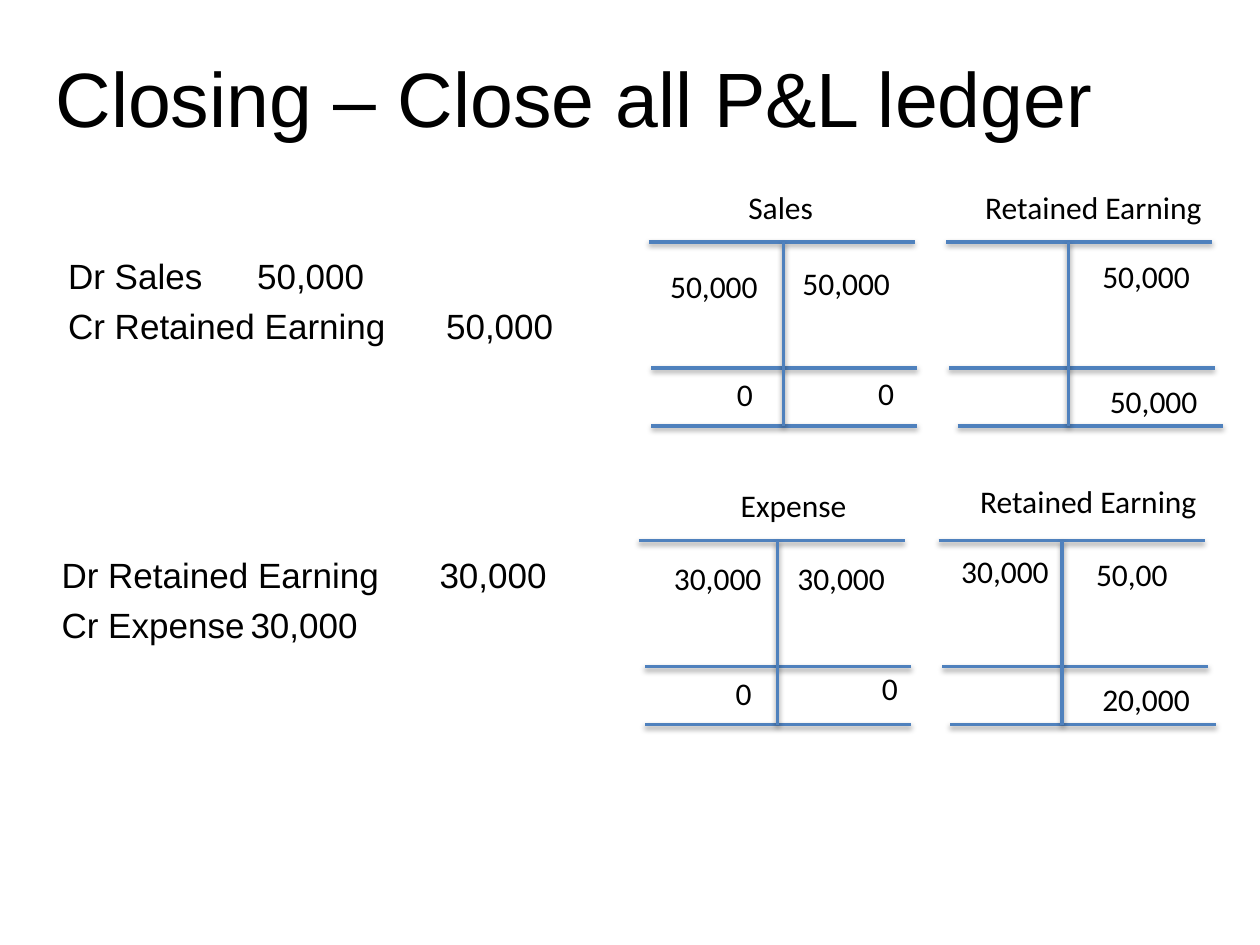
from dataclasses import dataclass

import pptx
import pptx.dml.color
import pptx.enum.shapes
import pptx.enum.text
import pptx.oxml
import pptx.oxml.ns
import pptx.util
from pptx.util import Inches


@dataclass(frozen=True)
class Theme:
    text: str = "000000"
    rule: str = "4F81BD"
    shadow: str = "000000"
    body_font: str = "Arial"
    ledger_font: str = "Calibri"
    title_size: int = 44
    journal_size: int = 20
    ledger_size: int = 18
    rule_width: int = 2


@dataclass(frozen=True)
class Account:
    """A T account; inner offsets are inches from its top-left corner."""
    left: float
    top: float
    stem: float
    balance_shift: float
    total_shift: float
    heading: tuple  # text, x, y, width
    entries: tuple  # (text, x, y)


THEME = Theme()
RULE_LENGTH, BALANCE_DROP, TOTAL_DROP = 2.11, 1.0, 1.46
DIGIT_WIDTH, COMMA_WIDTH, SIDE_INSETS = 0.127, 0.065, 0.2
LABEL_HEIGHT = 0.4
AMOUNT_TAB = 3.0

TITLE_BOX = (0.34, 0.14, 9, 1.25)
SALES_BOX = (0.44, 1.97, 4.07, 0.91)
EXPENSE_BOX = (0.39, 4.34, 4.07, 0.91)
SALES_JOURNAL = (("Dr Sales", "50,000"), ("Cr Retained Earning", "50,000"))
EXPENSE_JOURNAL = (("Dr Retained Earning", "30,000"), ("Cr Expense", "30,000"))

ACCOUNTS = (
    Account(5.15, 1.92, 1.07, 0.02, 0.02, ("Sales", 0.69, -0.48, 0.72),
            (("50,000", 0.07, 0.15), ("50,000", 1.12, 0.13),
             ("0", 0.6, 1.01), ("0", 1.72, 1.0))),
    Account(7.51, 1.92, 0.97, 0.02, 0.09, ("Retained Earning", 0.21, -0.48, 1.94),
            (("50,000", 1.14, 0.07), ("50,000", 1.2, 1.06))),
    Account(5.07, 4.29, 1.1, 0.05, 0.05, ("Expense", 0.71, -0.48, 1.05),
            (("30,000", 0.18, 0.1), ("30,000", 1.16, 0.1),
             ("0", 0.67, 1.01), ("0", 1.83, 0.97))),
    Account(7.45, 4.29, 0.98, 0.03, 0.09, ("Retained Earning", 0.23, -0.51, 1.94),
            (("30,000", 0.08, 0.04), ("50,00", 1.15, 0.07),
             ("20,000", 1.2, 1.06))),
)


def place(shape, box):
    shape.left, shape.top, shape.width, shape.height = map(Inches, box)


def style_font(font, name, size):
    font.name = name
    font.size = pptx.util.Pt(size)
    font.color.rgb = pptx.dml.color.RGBColor.from_string(THEME.text)


def add_title(slide, box, text):
    title = slide.shapes.title
    place(title, box)
    title.text_frame.text = text
    paragraph = title.text_frame.paragraphs[0]
    paragraph.alignment = pptx.enum.text.PP_ALIGN.LEFT
    style_font(paragraph.runs[0].font, THEME.body_font, THEME.title_size)


def add_journal(shape, box, lines):
    """Fill a box with journal lines whose amounts align at one tab stop."""
    place(shape, box)
    frame = shape.text_frame
    frame.word_wrap = True
    frame.auto_size = pptx.enum.text.MSO_AUTO_SIZE.NONE
    frame.text = "\n".join("\t".join(line) for line in lines)
    for index, paragraph in enumerate(frame.paragraphs):
        paragraph.space_before = pptx.util.Pt(4.6 if index else 0)
        properties = paragraph._p.get_or_add_pPr()
        properties.set("marL", "0")
        properties.set("indent", "0")
        pptx.oxml.ns.qn("a:buNone")
        properties.append(pptx.oxml.parse_xml(
            f'<a:buNone {pptx.oxml.ns.nsdecls("a")}/>'))
        properties.append(pptx.oxml.parse_xml(
            f'<a:tabLst {pptx.oxml.ns.nsdecls("a")}>'
            f'<a:tab pos="{Inches(AMOUNT_TAB)}" algn="l"/></a:tabLst>'))
        for run in paragraph.runs:
            style_font(run.font, THEME.body_font, THEME.journal_size)


def add_rule(slide, start, end):
    rule = slide.shapes.add_connector(
        pptx.enum.shapes.MSO_CONNECTOR.STRAIGHT, *map(Inches, start + end))
    rule.line.color.rgb = pptx.dml.color.RGBColor.from_string(THEME.rule)
    rule.line.width = pptx.util.Pt(THEME.rule_width)
    # Soft shadow straight below the line
    rule._element.spPr.append(pptx.oxml.parse_xml(
        f'<a:effectLst {pptx.oxml.ns.nsdecls("a")}>'
        f'<a:outerShdw blurRad="{pptx.util.Pt(3.1)}" dist="{pptx.util.Pt(1.6)}" '
        f'dir="5400000" rotWithShape="0"><a:srgbClr val="{THEME.shadow}">'
        '<a:alpha val="38000"/></a:srgbClr></a:outerShdw></a:effectLst>'))


def add_label(slide, text, left, top, width):
    label = slide.shapes.add_textbox(
        *map(Inches, (left, top, width, LABEL_HEIGHT)))
    frame = label.text_frame
    frame.word_wrap = False
    frame.auto_size = pptx.enum.text.MSO_AUTO_SIZE.SHAPE_TO_FIT_TEXT
    frame.text = text
    style_font(frame.paragraphs[0].runs[0].font,
               THEME.ledger_font, THEME.ledger_size)


def amount_width(text):
    commas = text.count(",")
    return SIDE_INSETS + (len(text) - commas) * DIGIT_WIDTH + commas * COMMA_WIDTH


def add_account(slide, account):
    left, top = account.left, account.top
    # Top, balance and total rules, then the stem
    for shift, drop in ((0, 0), (account.balance_shift, BALANCE_DROP),
                        (account.total_shift, TOTAL_DROP)):
        add_rule(slide, (left + shift, top + drop),
                 (left + shift + RULE_LENGTH, top + drop))
    stem = left + account.stem
    add_rule(slide, (stem, top), (stem, top + TOTAL_DROP))
    # Heading and amounts
    heading, x, y, width = account.heading
    add_label(slide, heading, left + x, top + y, width)
    for text, x, y in account.entries:
        add_label(slide, text, left + x, top + y, amount_width(text))


def main():
    presentation = pptx.Presentation()
    presentation.slide_width, presentation.slide_height = Inches(10), Inches(7.5)
    slide = presentation.slides.add_slide(presentation.slide_layouts[1])
    add_title(slide, TITLE_BOX, "Closing – Close all P&L ledger")
    add_journal(slide.placeholders[1], SALES_BOX, SALES_JOURNAL)
    expense_text = slide.shapes.add_textbox(*map(Inches, EXPENSE_BOX))
    add_journal(expense_text, EXPENSE_BOX, EXPENSE_JOURNAL)
    for account in ACCOUNTS:
        add_account(slide, account)
    presentation.save("out.pptx")


if __name__ == "__main__":
    main()
